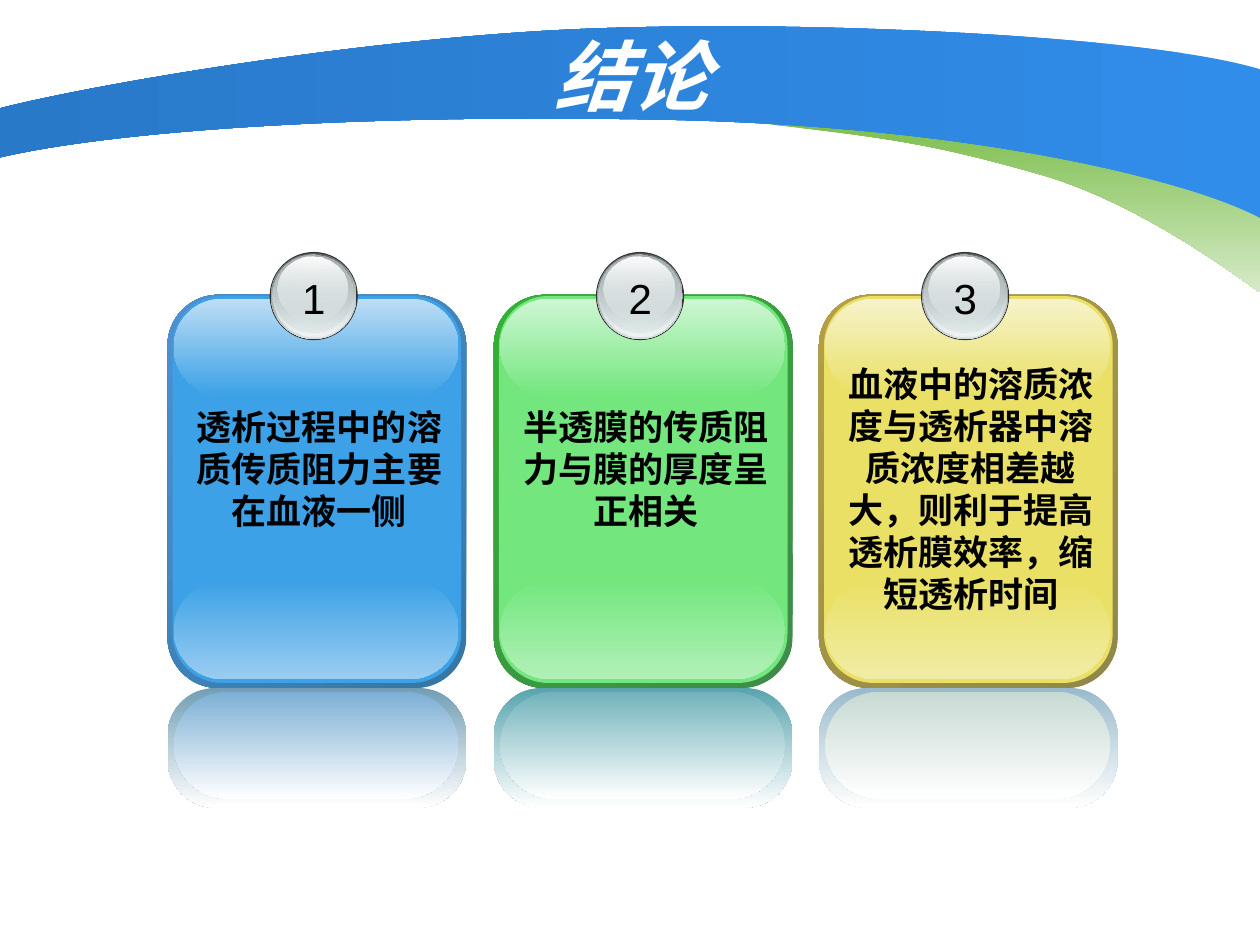
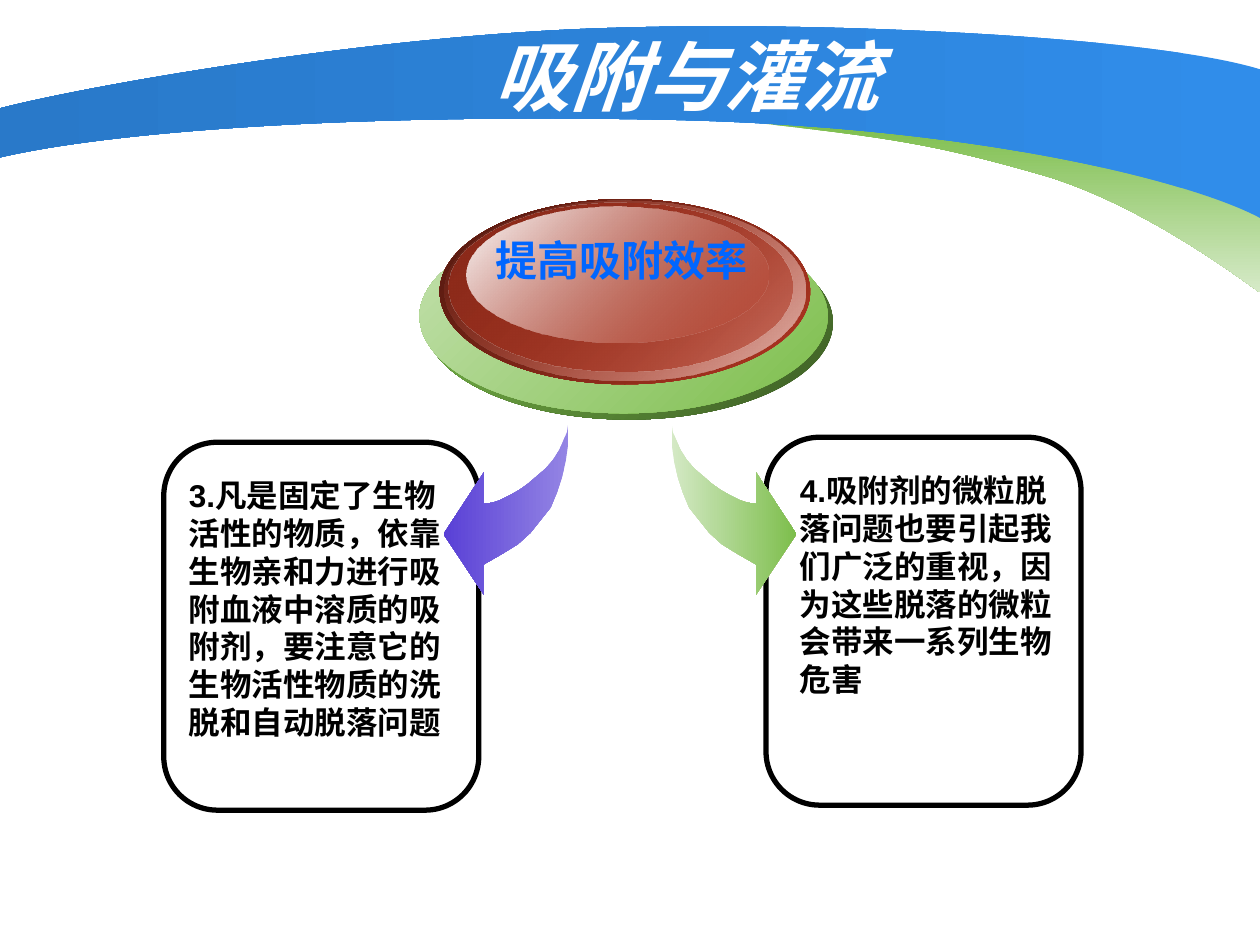
from lxml.etree import SubElement as Sub
from pptx import Presentation
from pptx.dml.color import RGBColor as Rgb
from pptx.enum.shapes import MSO_SHAPE as Kind
from pptx.enum.text import MSO_ANCHOR as Anchor, PP_ALIGN as Align
from pptx.oxml.ns import qn
from pptx.util import Pt

PX = 9144  # EMU per px, 100 px to the inch


class Theme:
    white, black, ink = "FFFFFF", "000000", "0066FF"
    blue, navy = "308DEA", "2979C9"
    green, mint, moss, leaf = "7DBE4C", "D6EAC8", "3C5C24", "C4E1AE"
    pale = "D4E9C5"
    red, wine, rust, rose = "B13621", "51180F", "8B2A1A", "E2B8B0"
    shine, steel, grey, dark = "FEFEFE", "D6E1E2", "626768", "333333"
    ash, frost = "A8B1B2", "EFF3F3"
    lilac, violet = "9485E4", "5940D6"
    sans, wide = "Arial", "DejaVu Sans"
    head, big, mid, small = 44, 24, 20, 18
    lead = 1.2


def paint(shape, tones, angle=90):
    """Fill with one colour or a clockwise two-tone blend; a tone may be (colour, opacity)."""
    shape.shadow.inherit = False
    shape.line.fill.background()
    if isinstance(tones, str):
        shape.fill.solid()
        shape.fill.fore_color.rgb = Rgb.from_string(tones)
        return
    shape.fill.gradient()
    shape.fill.gradient_angle = (360 - angle) % 360
    pairs = [(t, 100) if isinstance(t, str) else t for t in tones]
    for place, stop, (tone, _) in zip((0, 1), shape.fill.gradient_stops, pairs):
        stop.position = place
        stop.color.rgb = Rgb.from_string(tone)
    nodes = list(shape._element.spPr.iter(qn("a:srgbClr")))
    for node, (_, level) in zip(nodes, pairs):
        if level < 100:
            Sub(node, qn("a:alpha")).set("val", str(level * 1000))


def write(slide, box, text, size, face, tone, align=Align.CENTER,
          bold=True, slant=False, wrap=True, anchor=Anchor.TOP):
    frame = slide.shapes.add_textbox(*(n * PX for n in box)).text_frame
    frame.word_wrap = wrap
    frame.vertical_anchor = anchor
    para = frame.paragraphs[0]
    para.alignment = align
    para.line_spacing = Pt(size * Theme.lead)
    para._p.get_or_add_pPr().set("hangingPunct", "0")
    run = para.add_run()
    run.text = text
    font = run.font
    font.size, font.name = Pt(size), face
    font.bold, font.italic = bold, slant
    font.color.rgb = Rgb.from_string(tone)
    Sub(run._r.get_or_add_rPr(), qn("a:ea")).set("typeface", face)


deck = Presentation()
deck.slide_width, deck.slide_height = 1000 * PX, 750 * PX

# Shared bands: a start point, then cubic curves (3 points) or lines (1 point)
bands = [
    ((596, 97),
     [[(703, 109), (740, 114), (824, 138)], [(907, 161), (992, 227), (1000, 232)],
      [(1001, 172)], [(962, 151), (835, 115), (768, 103)]],
     (Theme.green, Theme.mint), 90),
    ((0, 125),
     [[(81, 106), (262, 90), (524, 95)], [(786, 100), (952, 147), (1000, 173)],
      [(1000, 55)], [(915, 29), (659, 17), (493, 22)], [(312, 26), (78, 66), (0, 86)]],
     (Theme.blue, Theme.navy), 180),
]
slides = []
for title, shift in [("结论", 0), ("吸附与灌流", 44)]:
    slide = deck.slides.add_slide(deck.slide_layouts[6])
    for start, parts, tones, angle in bands:
        pen = slide.shapes.build_freeform(*start, scale=PX)
        pen.add_line_segments([point for part in parts for point in part])
        band = pen.convert_to_shape()
        lines = iter(list(band._element.spPr.iter(qn("a:lnTo"))))
        for part in parts:
            lead, *others = [next(lines) for _ in part]
            if others:
                lead.tag = qn("a:cubicBezTo")
                for other in others:
                    lead.append(other[0])
                    other.getparent().remove(other)
        paint(band, tones, angle)
    write(slide, (43 + shift, 28, 916, 62), title, Theme.head, Theme.wide,
          Theme.white, slant=True, anchor=Anchor.MIDDLE)
    slides.append(slide)
first, second = slides

# Slide 1: three glossy cards with numbered badges
# left, rim tones, body, low glow, high glow, mirror rim, mirror body, text top, text
cards = [
    (133, ("3477A4", "4E91D4"), "3CA1E6", "9ACDF1", "BDDEF5", "729EB4", "7DAFD4",
     317, "透析过程中的溶质传质阻力主要在血液一侧"),
    (392, ("3F8B4A", "34B034"), "73E77E", "B1F0B7", "CFF6D3", "58A4AE", "72B2BB",
     317, "半透膜的传质阻力与膜的厚度呈正相关"),
    (650, ("8F8849", "B59F43"), "E9E065", "F1ECA5", "F6F3CA", "99BACC", "C8DAD4",
     283, "血液中的溶质浓度与透析器中溶质浓度相差越大，则利于提高透析膜效率，缩短透析时间"),
]
badge = [
    ((81, 200, 70, 70), Theme.dark),
    ((82, 201, 68, 68), (Theme.grey, Theme.steel)),
    ((83, 201, 66, 66), ((Theme.steel, 0), Theme.frost)),
    ((84, 202, 63, 62), (Theme.ash, (Theme.steel, 48))),
    ((87, 204, 56, 50), (Theme.shine, (Theme.steel, 38))),
]
for num, (left, rim, body, low, high, edge, glass, top, text) in enumerate(cards, 1):
    plates = [
        ((0, 234, 237, 312), 0.17, rim, 225),
        ((4, 235, 229, 307), 0.17, body, 90),
        ((5, 461, 226, 78), 0.5, (body, low), 90),
        ((5, 237, 226, 77), 0.5, (high, body), 90),
        ((0, 546, 237, 95), 0.4, (edge, Theme.white), 90),
        ((5, 549, 226, 85), 0.5, (glass, Theme.white), 90),
    ]
    for (x, *rest), bend, tones, angle in plates:
        plate = first.shapes.add_shape(Kind.ROUNDED_RECTANGLE,
                                       *(n * PX for n in (left + x, *rest)))
        plate.adjustments[0] = bend
        paint(plate, tones, angle)
    for (x, *rest), tones in badge:
        disc = first.shapes.add_shape(Kind.OVAL, *(n * PX for n in (left + x, *rest)))
        paint(disc, tones)
    write(first, (left + 97, 211, 38, 50), str(num), Theme.big, Theme.sans,
          Theme.black, bold=False, wrap=False)
    write(first, (left + 8, top, 225, 210), text, Theme.mid, Theme.wide, Theme.black)

# Slide 2: a button with arrows to two framed notes
discs = [
    ((337, 179, 324, 154), (Theme.moss, Theme.green)),
    ((333, 174, 324, 154), (Theme.green, Theme.leaf)),
    ((349, 158, 294, 147), (Theme.red, Theme.wine)),
    ((353, 159, 286, 143), (Theme.rose, (Theme.red, 0))),
    ((356, 161, 273, 134), ((Theme.red, 48), Theme.rust)),
    ((370, 164, 240, 108), ((Theme.red, 38), Theme.shine)),
]
for box, tones in discs:
    disc = second.shapes.add_shape(Kind.OVAL, *(n * PX for n in box))
    paint(disc, tones, 225)
write(second, (383, 181, 220, 50), "提高吸附效率", Theme.big, Theme.sans,
      Theme.ink, wrap=False)

arrow = [
    (451, 336), (451, 352), (449, 366), (446, 379), (442, 391), (437, 403),
    (429, 413), (421, 423), (411, 432), (398, 440), (384, 448), (384, 472),
    (352, 424), (384, 375), (384, 400), (391, 399), (397, 397), (405, 393),
    (412, 389), (419, 384), (426, 378), (433, 372), (439, 365), (444, 357),
    (447, 350), (450, 343),
]
MIRROR = 984
notes = [
    ((130, 351), (140, 373), arrow, (Theme.lilac, Theme.violet), 180,
     "3.凡是固定了生物活性的物质，依靠生物亲和力进行吸附血液中溶质的吸附剂，要注意它的生物活性物质的洗脱和自动脱落问题"),
    ((608, 347), (625, 369), [(MIRROR - x, y) for x, y in arrow],
     (Theme.pale, Theme.green), 0,
     "4.吸附剂的微粒脱落问题也要引起我们广泛的重视，因为这些脱落的微粒会带来一系列生物危害"),
]
for spot, place, points, tones, angle, text in notes:
    panel = second.shapes.add_shape(Kind.ROUNDED_RECTANGLE,
                                    *(n * PX for n in (*spot, 250, 292)))
    panel.adjustments[0] = 0.17
    panel.shadow.inherit = False
    panel.fill.background()
    panel.line.color.rgb = Rgb.from_string(Theme.black)
    panel.line.width = Pt(3)
    write(second, (*place, 223, 220), text, Theme.small, Theme.sans,
          Theme.black, align=Align.LEFT)
    pen = second.shapes.build_freeform(*points[0], scale=PX)
    pen.add_line_segments(points[1:])
    paint(pen.convert_to_shape(), tones, angle)

deck.save("out.pptx")
